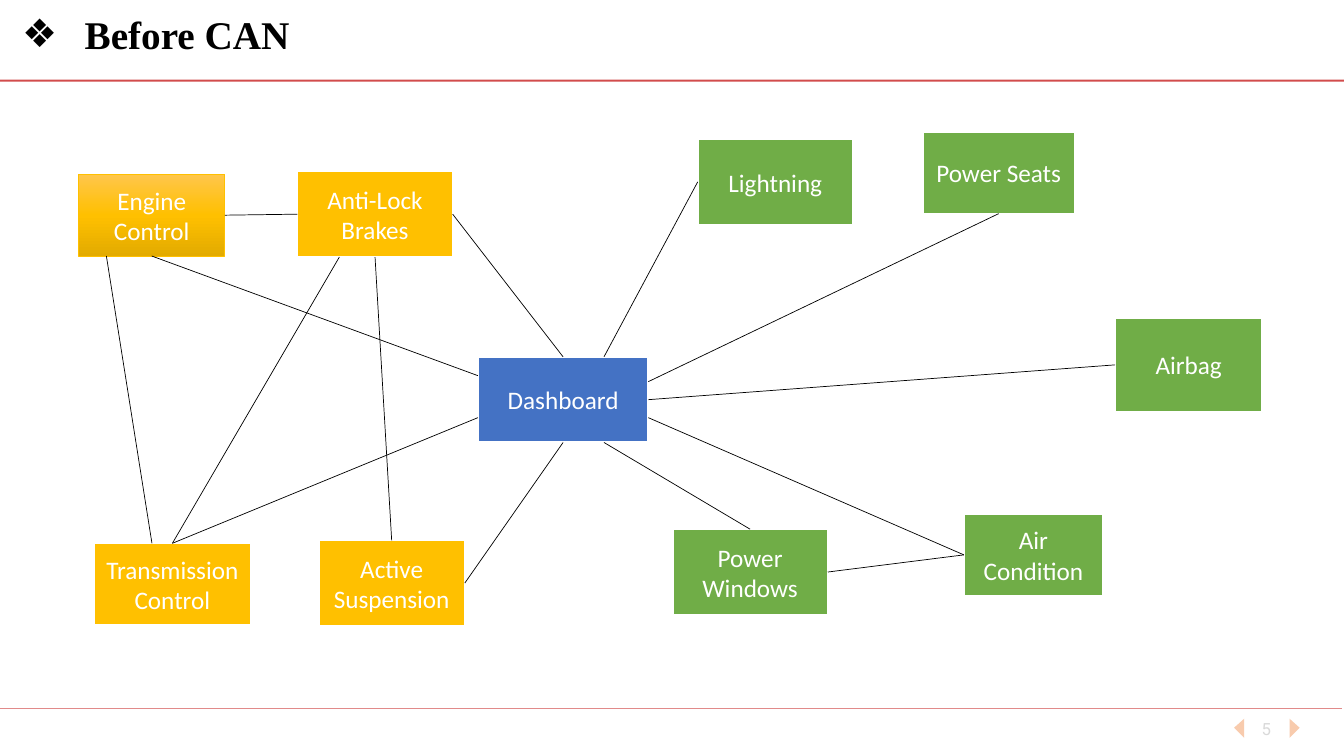
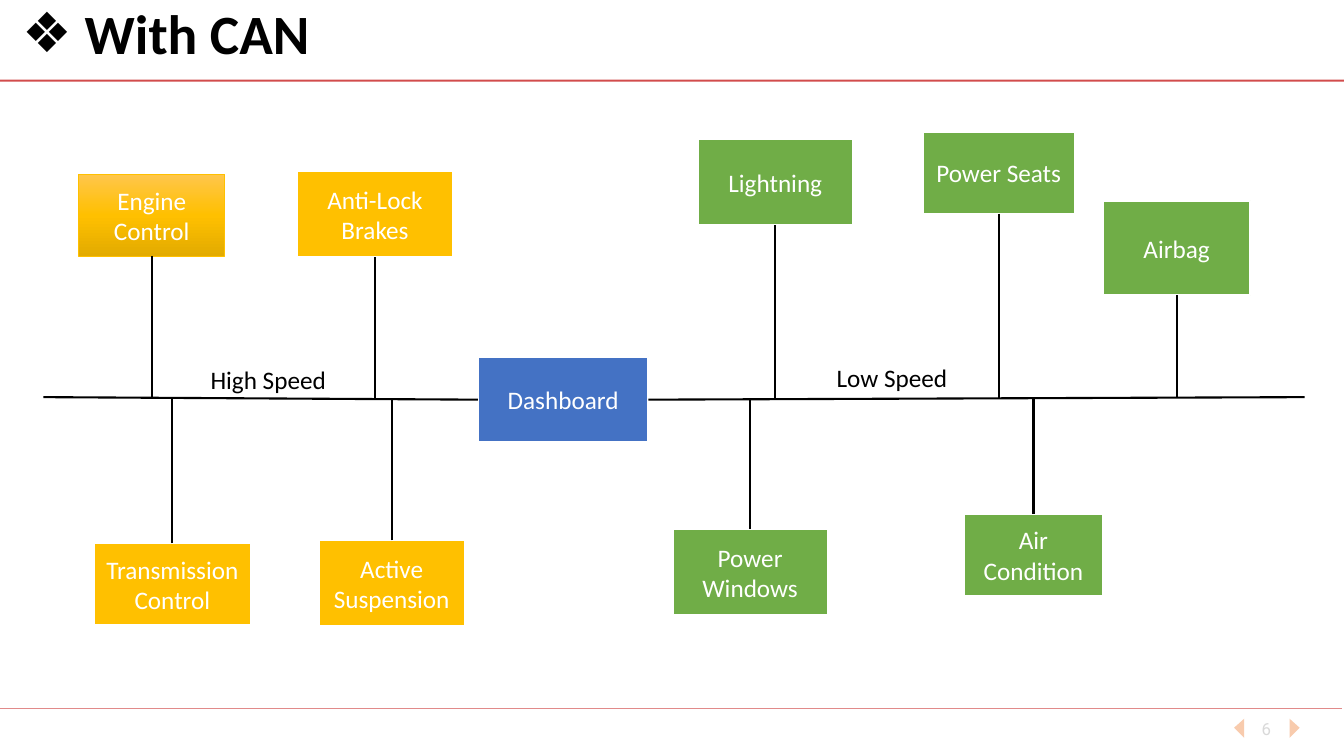
from lxml import etree
from pptx import Presentation, util as u
from pptx.dml.color import RGBColor
from pptx.enum import shapes, text
from pptx.oxml.ns import qn

# The slide is a grid of square cells; every place below is counted in cells.
CELL = u.Inches(0.01)
COLUMNS, ROWS = 1333, 750

RED = RGBColor(0xC0, 0x00, 0x00)
PEACH = RGBColor(0xF8, 0xCB, 0xAD)
GREY = RGBColor(0xD9, 0xD9, 0xD9)
BLACK = RGBColor(0x00, 0x00, 0x00)
WHITE = RGBColor(0xFF, 0xFF, 0xFF)
AMBER = RGBColor(0xFF, 0xC0, 0x00)
GREEN = RGBColor(0x70, 0xAD, 0x47)
BLUE = RGBColor(0x44, 0x72, 0xC4)
ENGINE_SHADES = ((0, RGBColor(0xFF, 0xC6, 0x4B)), (50, AMBER), (100, RGBColor(0xE3, 0xAB, 0x00)))

# Module: left, top, width, height, colour
MODULES = {
    "Engine Control": (78, 173, 145, 81, AMBER),
    "Dashboard": (474, 354, 169, 85, BLUE),
    "Anti-Lock Brakes": (295, 170, 154, 85, AMBER),
    "Lightning": (692, 138, 154, 85, GREEN),
    "Transmission Control": (93, 539, 156, 81, AMBER),
    "Active Suspension": (316, 536, 145, 85, AMBER),
    "Power Windows": (667, 525, 154, 85, GREEN),
    "Air Condition": (956, 510, 138, 81, GREEN),
    "Power Seats": (915, 131, 151, 81, GREEN),
    "Airbag": (1106, 315, 146, 94, GREEN),
}
AIRBAG_ON_BUS = (1094, 199, 146, 94, GREEN)

# Points on a box, as shares of its width and height; midpoints are glue sites
TOP, LEFT, BOTTOM, RIGHT = MIDPOINTS = ((0.5, 0), (0, 0.5), (0.5, 1), (1, 0.5))
DIRECT_WIRES = [
    ("Dashboard", TOP, "Anti-Lock Brakes", RIGHT),
    ("Dashboard", (0, 0.22), "Engine Control", BOTTOM),
    ("Dashboard", (0, 0.71), "Transmission Control", TOP),
    ("Dashboard", BOTTOM, "Active Suspension", RIGHT),
    ("Engine Control", RIGHT, "Anti-Lock Brakes", LEFT),
    ("Engine Control", (0.19, 1), "Transmission Control", (0.37, 0)),
    ("Transmission Control", TOP, "Anti-Lock Brakes", (0.27, 1)),
    ("Anti-Lock Brakes", BOTTOM, "Active Suspension", TOP),
    ("Dashboard", (0.74, 0), "Lightning", LEFT),
    ("Dashboard", (0.74, 1), "Power Windows", TOP),
    ("Dashboard", (1, 0.29), "Power Seats", BOTTOM),
    ("Dashboard", RIGHT, "Airbag", LEFT),
    ("Dashboard", (1, 0.71), "Air Condition", LEFT),
    ("Power Windows", RIGHT, "Air Condition", LEFT),
]
BUS_ROW = 395
BUS_ENDS = ((LEFT, 43), (RIGHT, 1294))
BUS_LABELS = (("High Speed", 199, 356, 154), ("Low Speed", 820, 354, 160))


def draw_line(slide, ends, width, color=BLACK):
    """Join two ends, each a (column, row) point or a (box, share) pair."""
    points = []
    for place, share in ends:
        if hasattr(place, "left"):
            points += [place.left + place.width * share[0], place.top + place.height * share[1]]
        else:
            points += [place * CELL, share * CELL]
    line = slide.shapes.add_connector(shapes.MSO_CONNECTOR.STRAIGHT, *map(int, points))
    for (place, share), connect in zip(ends, (line.begin_connect, line.end_connect)):
        if share in MIDPOINTS:
            connect(place, MIDPOINTS.index(share))
    line.line.width = u.Pt(width)
    line.line.color.rgb = color
    etree.SubElement(line.element.find(qn("p:spPr")), qn("a:effectLst"))
    return line


def write(shape, words, size, font, color, align=text.PP_ALIGN.CENTER, bold=False):
    frame = shape.text_frame
    frame.word_wrap = True
    frame.vertical_anchor = text.MSO_ANCHOR.MIDDLE
    frame.text = words
    paragraph = frame.paragraphs[0]
    paragraph.alignment = align
    run_font = paragraph.runs[0].font
    run_font.size, run_font.name, run_font.bold = u.Pt(size), font, bold
    run_font.color.rgb = color


prs = Presentation()
prs.slide_width, prs.slide_height = COLUMNS * CELL, ROWS * CELL
layout = prs.slide_layouts[5]
before, bus = slides = [prs.slides.add_slide(layout) for _ in range(2)]

# Rules and page arrows, drawn once and moved to the shared layout
frame_parts = []
for row, right, width in ((703, 1331, 0.5), (80, COLUMNS, 1.5)):
    rule = draw_line(before, ((0, row), (right, row)), width, RED)
    red = next(rule.element.iter(qn("a:srgbClr")))
    etree.SubElement(red, qn("a:alpha"), val="70000")
    frame_parts.append(rule)
for base, tip in ((1234, 1224), (1279, 1289)):
    outline = before.shapes.build_freeform(base, 713, scale=CELL)
    outline.add_line_segments(((tip, 722.5), (base, 732)))
    arrow = outline.convert_to_shape()
    arrow.shadow.inherit = False
    arrow.fill.solid()
    arrow.fill.fore_color.rgb = PEACH
    arrow.line.fill.background()
    frame_parts.append(arrow)
for number, part in enumerate(frame_parts, 100):
    next(part.element.iter(qn("p:cNvPr"))).set("id", str(number))
    layout.shapes.element.append(part.element)

# Title, page number and modules of both slides
boxes = {}
headings = ((before, "Before CAN", 28, "Times New Roman", "5"),
            (bus, "With CAN", 39.6, "Calibri", "6"))
for slide, heading, size, font, page in headings:
    title = slide.shapes.title
    title.left, title.top, title.width, title.height = (n * CELL for n in (12, 7, 1252, 58))
    write(title, heading, size, font, BLACK, text.PP_ALIGN.LEFT, bold=True)
    title.text_frame.auto_size = text.MSO_AUTO_SIZE.NONE
    heading_line = title.text_frame.paragraphs[0]
    heading_line.line_spacing = 0.9
    bullet = heading_line._p.get_or_add_pPr()
    bullet.set("marL", str(62 * CELL))
    bullet.set("indent", str(-62 * CELL))
    etree.SubElement(bullet, qn("a:buFont"), typeface="Arial")
    etree.SubElement(bullet, qn("a:buChar"), char="❖")

    page_number = slide.shapes.add_textbox(*(n * CELL for n in (1228, 703, 56, 40)))
    write(page_number, page, 12, "Roboto", GREY)

    modules = MODULES if slide is before else {**MODULES, "Airbag": AIRBAG_ON_BUS}
    boxes[page] = {}
    for module, (*place, color) in modules.items():
        box = slide.shapes.add_shape(shapes.MSO_SHAPE.RECTANGLE, *(n * CELL for n in place))
        box.shadow.inherit = False
        if module == "Engine Control":
            box.fill.gradient()
            box.fill.gradient_angle = 270
            stops = next(box.element.iter(qn("a:gsLst")))
            stops.clear()
            for percent, shade in ENGINE_SHADES:
                stop = etree.SubElement(stops, qn("a:gs"), pos=str(percent * 1000))
                etree.SubElement(stop, qn("a:srgbClr"), val=str(shade))
            box.line.color.rgb, box.line.width = AMBER, u.Pt(0.5)
        else:
            box.fill.solid()
            box.fill.fore_color.rgb = color
            box.line.color.rgb, box.line.width = WHITE, u.Pt(1.5)
        write(box, module, 18, "Calibri", WHITE)
        boxes[page][module] = box

# Before CAN: every module wired directly to its partners
for start, start_share, end, end_share in DIRECT_WIRES:
    draw_line(before, ((boxes["5"][start], start_share), (boxes["5"][end], end_share)), 0.5)

# With CAN: two buses from the dashboard, one drop line per module
for side, column in BUS_ENDS:
    draw_line(bus, ((boxes["6"]["Dashboard"], side), (column, BUS_ROW - 1)), 1.5)
for label, left, top, width in BUS_LABELS:
    speed = bus.shapes.add_textbox(*(n * CELL for n in (left, top, width, 40)))
    write(speed, label, 18, "Calibri", BLACK, text.PP_ALIGN.LEFT)
for module, box in boxes["6"].items():
    if module != "Dashboard":
        side = BOTTOM if box.top < BUS_ROW * CELL else TOP
        center = (box.left + box.width / 2) / CELL
        draw_line(bus, ((box, side), (center, BUS_ROW)), 1.5)

prs.save("out.pptx")
